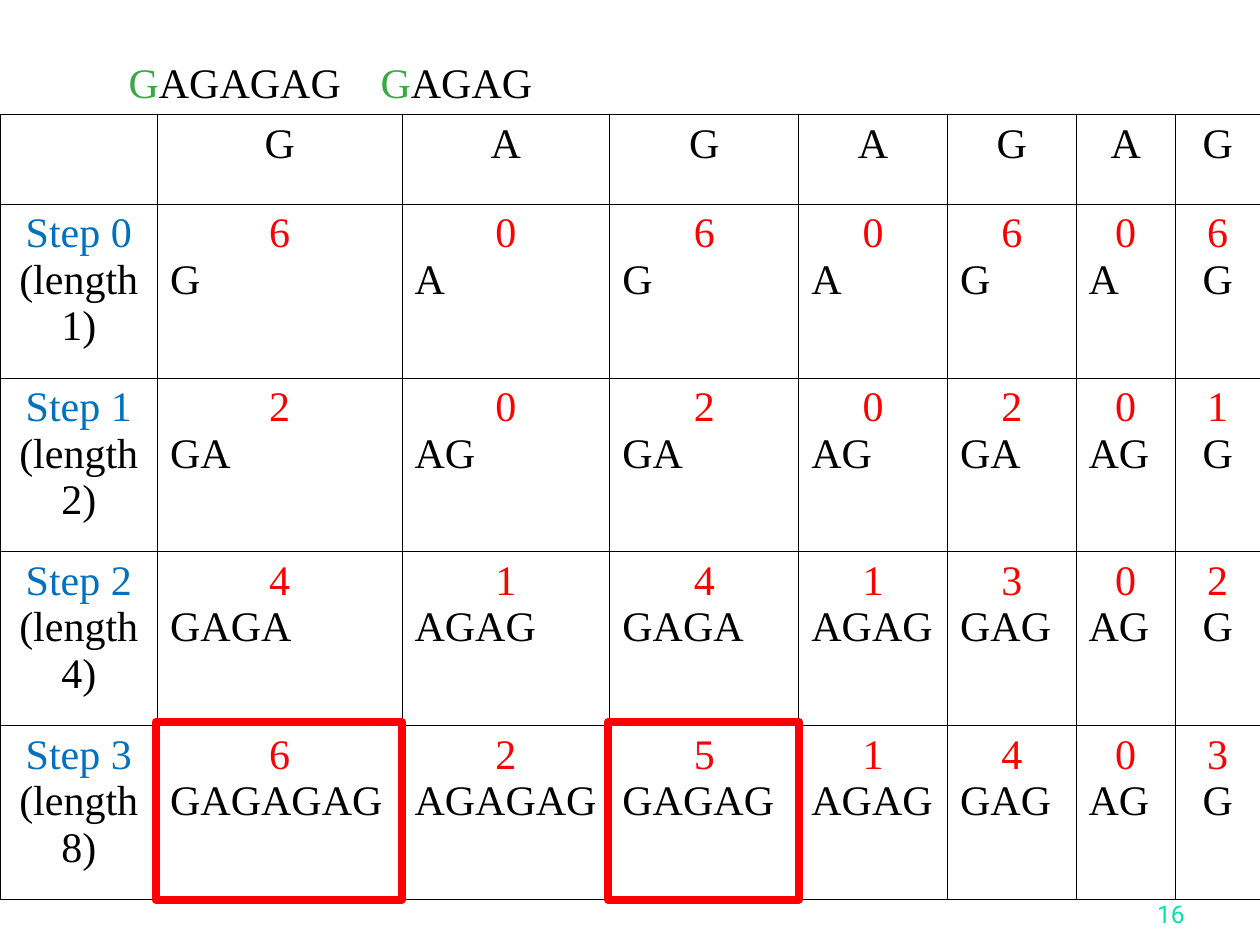
from dataclasses import dataclass
from itertools import accumulate

from lxml import etree
from pptx import Presentation
from pptx.dml.color import RGBColor
from pptx.enum.shapes import MSO_SHAPE
from pptx.enum.text import MSO_ANCHOR, MSO_AUTO_SIZE, PP_ALIGN
from pptx.oxml.ns import qn
from pptx.util import Inches, Pt

LEFT, CENTER, RIGHT = PP_ALIGN.LEFT, PP_ALIGN.CENTER, PP_ALIGN.RIGHT
TOP, BOTTOM = MSO_ANCHOR.TOP, MSO_ANCHOR.BOTTOM
RECTANGLE = MSO_SHAPE.RECTANGLE
NO_AUTOFIT = MSO_AUTO_SIZE.NONE
TITLE_AND_CONTENT = 1


@dataclass(frozen=True)
class Theme:
    serif: str = "Times New Roman"
    sans: str = "Roboto"
    text: str = "000000"
    paper: str = "FFFFFF"
    step: str = "0070C0"
    rank: str = "FF0000"
    first: str = "3BA943"
    page_number: str = "00E4A8"
    body_size: int = 24
    number_size: int = 14
    grid_width: float = 0.45
    mark_width: float = 4.5


THEME = Theme()
SLIDE_WIDTH, SLIDE_HEIGHT = 10, 7.5
COLUMNS = [1.25, 1.94, 1.65, 1.5, 1.18, 1.02, 0.79, 0.67]
ROWS = [0.71] + [1.38] * 4
TABLE_TOP = 0.91
WORD = "GAGAGAG"
STEP_RANKS = ["6060606", "2020201", "4141302", "6251403"]
MARKED_COLUMNS = (1, 3)
MARK_MARGIN = 0.03


def add_span(para, text, color, size=THEME.body_size, name=THEME.serif):
    span = para.add_run()
    span.text = text
    formats = {"size": Pt(size), "name": name}
    for attribute, value in formats.items():
        setattr(span.font, attribute, value)
    span.font.color.rgb = RGBColor.from_string(color)


def write_lines(frame, lines):
    for index, (text, color, alignment) in enumerate(lines):
        para = frame.add_paragraph() if index else frame.paragraphs[0]
        para.alignment = alignment
        add_span(para, text, color)


def set_borders(cell):
    properties = cell._tc.get_or_add_tcPr()
    for index, side in enumerate(("lnL", "lnR", "lnT", "lnB")):
        line = etree.Element(qn(f"a:{side}"), w=str(Pt(THEME.grid_width)))
        fill = etree.SubElement(line, qn("a:solidFill"))
        etree.SubElement(fill, qn("a:srgbClr"), val=THEME.text)
        properties.insert(index, line)


def place_words(page, box, words, stops):
    page.shapes.title.element.getparent().remove(page.shapes.title.element)
    body = page.placeholders[1]
    for attribute, value in zip(("left", "top", "width", "height"), box):
        setattr(body, attribute, Inches(value))
    frame = body.text_frame
    formats = {"word_wrap": True, "auto_size": NO_AUTOFIT, "vertical_anchor": TOP}
    for attribute, value in formats.items():
        setattr(frame, attribute, value)
    para = frame.paragraphs[0]
    properties = para._p.get_or_add_pPr()
    properties.set("marL", "0")
    properties.set("indent", "0")
    etree.SubElement(properties, qn("a:buNone"))
    tabs = etree.SubElement(properties, qn("a:tabLst"))
    for stop in stops:
        etree.SubElement(tabs, qn("a:tab"), pos=str(Inches(stop)), algn="l")
    para.line_spacing = 0.9
    para.space_before = Pt(0)
    for word in words:
        add_span(para, "\t" + word[0], THEME.first)
        add_span(para, word[1:], THEME.text)


def step_lines(step, column):
    length = 2 ** step
    if column == 0:
        return [
            (f"Step {step}", THEME.step, CENTER),
            ("(length", THEME.text, CENTER),
            (f"{length})", THEME.text, CENTER),
        ]
    start = column - 1
    alignment = CENTER if column == len(WORD) else LEFT
    return [
        (STEP_RANKS[step][start], THEME.rank, CENTER),
        (WORD[start:start + length], THEME.text, alignment),
    ]


def place_table(page, left, top):
    table = page.shapes.add_table(
        len(ROWS), len(COLUMNS), Inches(left), Inches(top),
        Inches(sum(COLUMNS)), Inches(sum(ROWS)),
    ).table
    table.first_row = False
    table.horz_banding = False
    for column, width in zip(table.columns, COLUMNS):
        column.width = Inches(width)
    for row, height in zip(table.rows, ROWS):
        row.height = Inches(height)
    for row in range(len(ROWS)):
        for column in range(len(COLUMNS)):
            cell = table.cell(row, column)
            cell.fill.solid()
            cell.fill.fore_color.rgb = RGBColor.from_string(THEME.paper)
            set_borders(cell)
            if row:
                write_lines(cell.text_frame, step_lines(row - 1, column))
            elif column:
                write_lines(cell.text_frame, [(WORD[column - 1], THEME.text, CENTER)])


def place_marks(page, left, top):
    column_edges = list(accumulate(COLUMNS, initial=left))
    row_top = top + sum(ROWS[:-1])
    for column in MARKED_COLUMNS:
        mark = page.shapes.add_shape(
            RECTANGLE,
            Inches(column_edges[column] - MARK_MARGIN / 2),
            Inches(row_top - MARK_MARGIN),
            Inches(COLUMNS[column] + MARK_MARGIN / 2),
            Inches(ROWS[-1] + MARK_MARGIN),
        )
        mark.shadow.inherit = False
        mark.fill.background()
        mark.line.color.rgb = RGBColor.from_string(THEME.rank)
        mark.line.width = Pt(THEME.mark_width)


def place_page_number(page, box, number):
    frame = page.shapes.add_textbox(*map(Inches, box)).text_frame
    formats = {"word_wrap": True, "vertical_anchor": BOTTOM}
    for attribute, value in formats.items():
        setattr(frame, attribute, value)
    para = frame.paragraphs[0]
    para.alignment = RIGHT
    add_span(para, number, THEME.page_number, THEME.number_size, THEME.sans)


def main():
    deck = Presentation()
    deck.slide_width = Inches(SLIDE_WIDTH)
    deck.slide_height = Inches(SLIDE_HEIGHT)
    page = deck.slides.add_slide(deck.slide_layouts[TITLE_AND_CONTENT])
    place_words(page, (0.42, 0.44, 8.83, 6.46), (WORD, WORD[2:]), (0.92, 4.41))
    place_table(page, 0, TABLE_TOP)
    place_marks(page, 0, TABLE_TOP)
    place_page_number(page, (7.42, 6.92, 2.08, 0.5), "16")
    deck.save("out.pptx")


if __name__ == "__main__":
    main()
